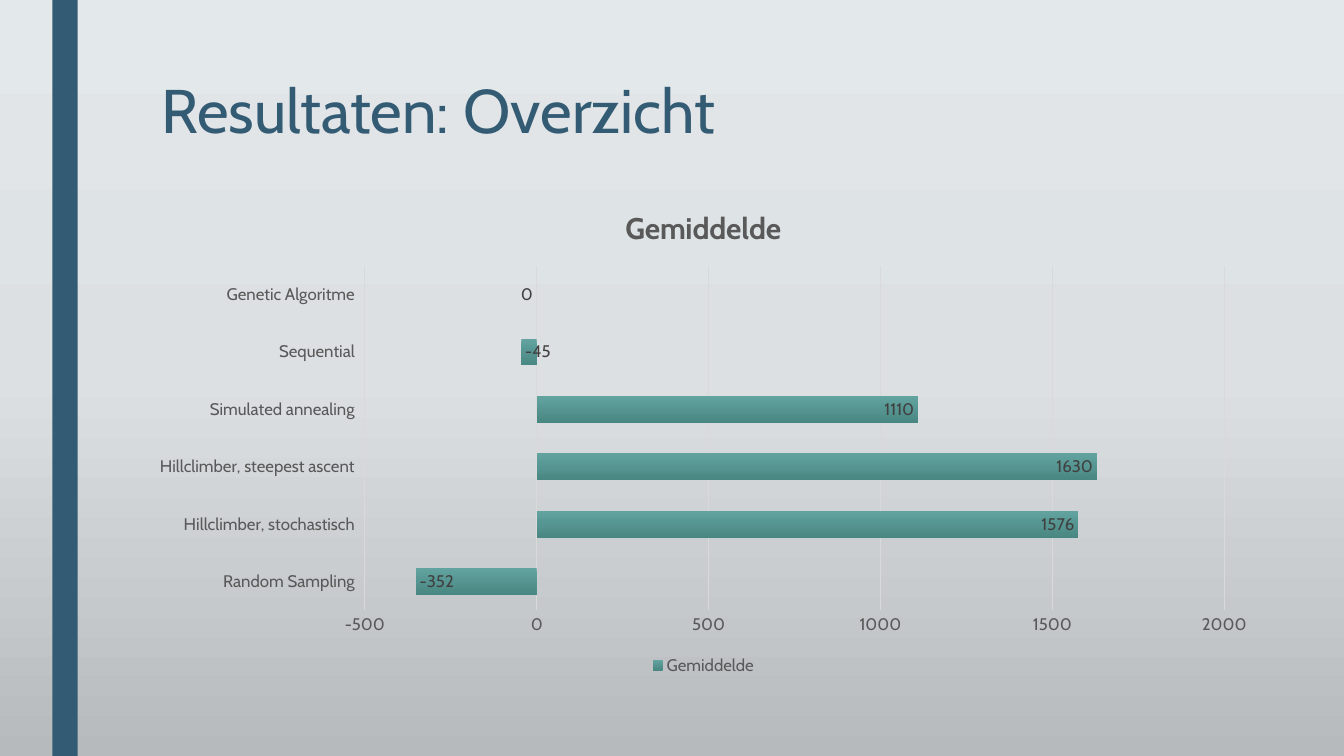
"""Build the results overview slide with its bar chart of averages."""
from dataclasses import dataclass

from lxml.etree import SubElement
from pptx import Presentation
from pptx.chart.data import CategoryChartData
from pptx.dml.color import RGBColor
from pptx.enum.chart import (XL_CHART_TYPE, XL_LABEL_POSITION, XL_LEGEND_POSITION,
                             XL_TICK_LABEL_POSITION, XL_TICK_MARK)
from pptx.enum.shapes import MSO_SHAPE
from pptx.enum.text import MSO_ANCHOR
from pptx.oxml.ns import qn
from pptx.util import Inches, Pt


@dataclass(frozen=True)
class Theme:
    font: str = "Cabin"
    accent: str = "335B74"
    muted: str = "595959"
    label: str = "404040"
    grid: str = "D9D9D9"
    background: tuple = ("E3E8EA", "DCE0E2", "B6BABC")
    bar: tuple = ("62A39F", "498783")
    title_size: float = 44
    chart_title_size: float = 21.3
    chart_size: float = 12


theme = Theme()


def write_text(frame, text, *, size, color, bold=False, line_spacing=None):
    paragraph = frame.paragraphs[0]
    paragraph.line_spacing = line_spacing
    run = paragraph.add_run()
    run.text = text
    run.font.name = theme.font
    run.font.size = Pt(size)
    run.font.bold = bold
    run.font.color.rgb = RGBColor.from_string(color)


def paint_gradient(properties, colors):
    solid = properties.find(qn("a:solidFill"))
    gradient = SubElement(properties, qn("a:gradFill"), rotWithShape="1")
    properties.replace(solid, gradient)
    stops = SubElement(gradient, qn("a:gsLst"))
    for index, color in enumerate(colors):
        position = index * 100000 // (len(colors) - 1)
        stop = SubElement(stops, qn("a:gs"), pos=str(position))
        SubElement(stop, qn("a:srgbClr"), val=color)
    SubElement(gradient, qn("a:lin"), ang="5400000", scaled="0")


presentation = Presentation()
presentation.slide_width = Inches(13.33)
presentation.slide_height = Inches(7.5)
slide = presentation.slides.add_slide(presentation.slide_layouts[6])
slide.background.fill.solid()
slide.background.fill.fore_color.rgb = RGBColor.from_string(theme.background[0])
paint_gradient(slide.element.find(".//" + qn("p:bgPr")), theme.background)

side_bar = slide.shapes.add_shape(
    MSO_SHAPE.RECTANGLE, Inches(0.52), 0, Inches(0.25), presentation.slide_height)
side_bar.shadow.inherit = False
side_bar.fill.solid()
side_bar.fill.fore_color.rgb = RGBColor.from_string(theme.accent)
side_bar.line.fill.background()

title = slide.shapes.add_textbox(Inches(1.5), Inches(0.75), Inches(10.5), Inches(1.11))
title.text_frame.word_wrap = True
title.text_frame.vertical_anchor = MSO_ANCHOR.TOP
write_text(title.text_frame, "Resultaten: Overzicht", size=theme.title_size,
           color=theme.accent, line_spacing=0.89)

averages = {
    "Random Sampling": -352,
    "Hillclimber, stochastisch": 1576,
    "Hillclimber, steepest ascent": 1630,
    "Simulated annealing": 1110,
    "Sequential": -45,
    "Genetic Algoritme": 0,
}
chart_data = CategoryChartData()
chart_data.categories = list(averages)
chart_data.add_series("Gemiddelde", list(averages.values()))
chart = slide.shapes.add_chart(
    XL_CHART_TYPE.BAR_CLUSTERED, Inches(1.36), Inches(1.86), Inches(11.23), Inches(4.88),
    chart_data).chart
chart.has_title = True
write_text(chart.chart_title.text_frame, "Gemiddelde", size=theme.chart_title_size,
           color=theme.muted, bold=True)
chart.chart_title.include_in_layout = False
chart.has_legend = True
chart.legend.position = XL_LEGEND_POSITION.BOTTOM
chart.legend.include_in_layout = False

plot = chart.plots[0]
plot.gap_width = 115
plot.overlap = -20
plot.vary_by_categories = False
series = plot.series[0]
series.invert_if_negative = False
series.format.fill.solid()
series.format.fill.fore_color.rgb = RGBColor.from_string(theme.bar[0])
paint_gradient(series.format.element.find(qn("c:spPr")) if hasattr(series.format, "element")
               else chart.element.find(".//" + qn("c:ser")).find(qn("c:spPr")), theme.bar)
labels = series.data_labels
labels.show_value = True
labels.position = XL_LABEL_POSITION.INSIDE_END

category_axis, value_axis = chart.category_axis, chart.value_axis
for axis in (category_axis, value_axis):
    axis.major_tick_mark = XL_TICK_MARK.NONE
    axis.minor_tick_mark = XL_TICK_MARK.NONE
category_axis.tick_label_position = XL_TICK_LABEL_POSITION.LOW
category_axis.has_major_gridlines = False
value_axis.minimum_scale = -500
value_axis.maximum_scale = 2000
value_axis.major_unit = 500
value_axis.has_major_gridlines = True
value_axis.format.line.fill.background()
for line, width in ((category_axis.format.line, 1),
                    (value_axis.major_gridlines.format.line, 0.75)):
    line.width = Pt(width)
    line.color.rgb = RGBColor.from_string(theme.grid)

for font, color in ((category_axis.tick_labels.font, theme.muted),
                    (value_axis.tick_labels.font, theme.muted),
                    (chart.legend.font, theme.muted),
                    (labels.font, theme.label)):
    font.name = theme.font
    font.size = Pt(theme.chart_size)
    font.color.rgb = RGBColor.from_string(color)

presentation.save("out.pptx")
